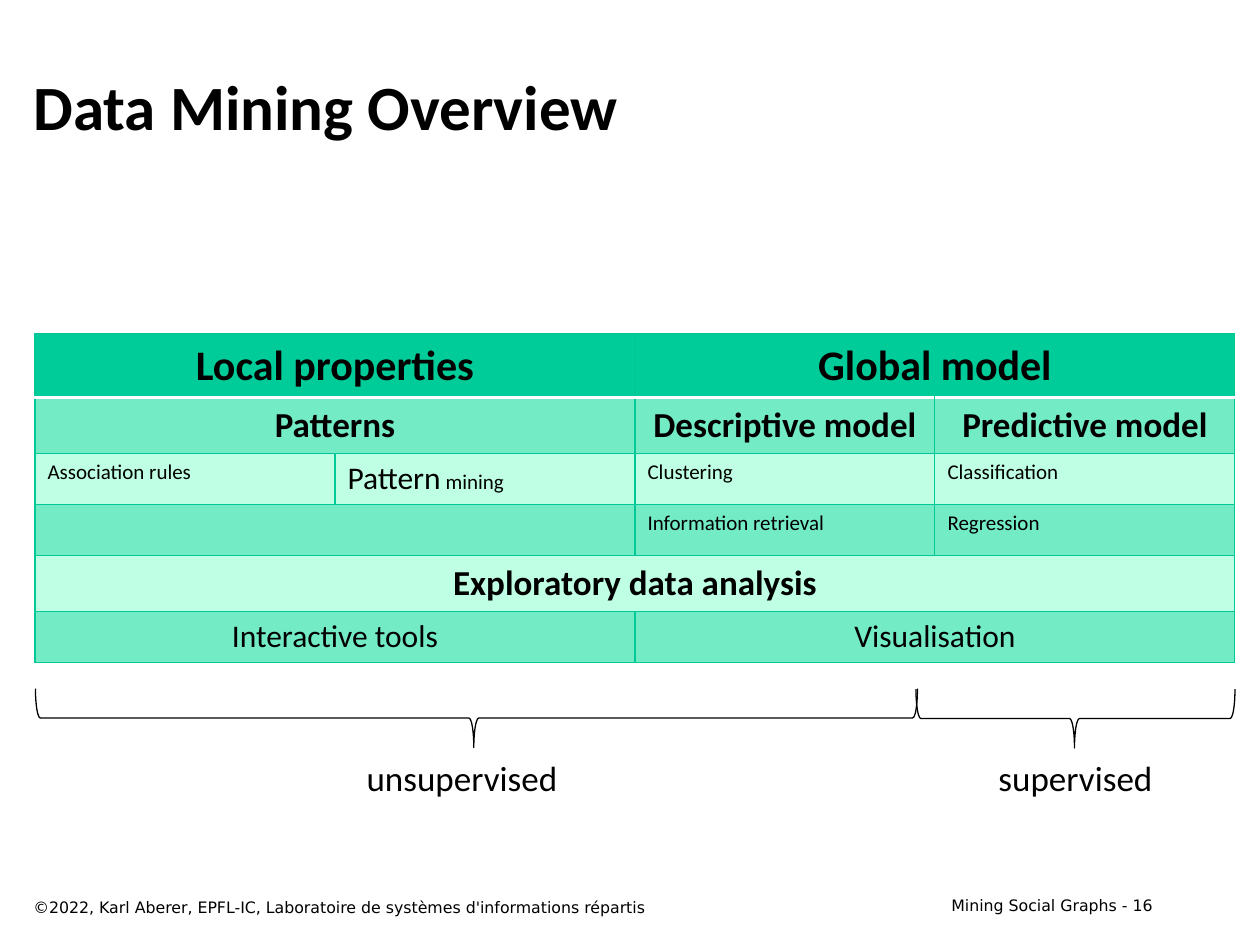
from dataclasses import dataclass

from lxml.etree import SubElement
from pptx import Presentation
from pptx.dml.color import RGBColor
from pptx.enum.shapes import MSO_SHAPE
from pptx.enum.text import MSO_ANCHOR as ANCHOR, MSO_AUTO_SIZE as AUTO, PP_ALIGN as ALIGN
from pptx.oxml.ns import qn
from pptx.util import Emu, Pt

EMU_PER_PX = 914400 / 126


def px(n: int) -> Emu:
    return Emu(round(n * EMU_PER_PX))


@dataclass(frozen=True)
class Theme:
    ink: str = "000000"
    header: str = "00CC99"
    band: str = "73EBC5"
    pale: str = "BFFFE3"
    border: str = "00C896"
    rule: str = "FFFFFF"
    body_font: str = "Calibri"
    footer_font: str = "DejaVu Sans"
    title: int = 36
    heading: int = 24
    subheading: int = 20
    label: int = 18
    detail: int = 12
    footer: int = 9
    thin: float = 0.75
    thick: float = 2


T = Theme()


@dataclass(frozen=True)
class Run:
    text: str
    size: int
    bold: bool = False
    font: str = T.body_font


@dataclass(frozen=True)
class Label:
    x: int
    y: int
    w: int
    h: int
    run: Run
    align: ALIGN = ALIGN.LEFT
    anchor: ANCHOR = ANCHOR.TOP
    wrap: bool = True


@dataclass(frozen=True)
class Cell:
    row: int
    col: int
    span: int
    runs: tuple[Run, ...] = ()
    align: ALIGN = ALIGN.CENTER


@dataclass(frozen=True)
class Brace:
    x: int
    y: int
    w: int
    h: int


def heading(row: int, col: int, span: int, text: str, size: int = T.subheading) -> Cell:
    return Cell(row, col, span, (Run(text, size, True),))


def detail(row: int, col: int, text: str) -> Cell:
    return Cell(row, col, 1, (Run(text, T.detail),), ALIGN.LEFT)


LABELS = [
    Label(903, 890, 262, 31, Run("Mining Social Graphs - 16", T.footer, font=T.footer_font),
          ALIGN.RIGHT),
    Label(21, 42, 1144, 126, Run("Data Mining Overview", T.title, True), anchor=ANCHOR.MIDDLE),
    Label(21, 892, 809, 31,
          Run("©2022, Karl Aberer, EPFL-IC, Laboratoire de systèmes d'informations répartis",
              T.footer, font=T.footer_font)),
    Label(353, 750, 218, 55, Run("unsupervised", T.subheading), ALIGN.CENTER, wrap=False),
    Label(985, 750, 181, 55, Run("supervised", T.subheading), ALIGN.CENTER, wrap=False),
]

# Frames before the quarter turn
BRACES = [Brace(447, 277, 59, 882), Brace(1046, 559, 59, 319)]

ROW_FILLS = [T.header, T.band, T.pale, T.band, T.pale, T.band]
COLUMNS, COL_W, ROW_H = 4, 300, 51
CELLS = [
    heading(0, 0, 2, "Local properties", T.heading),
    heading(0, 2, 2, "Global model", T.heading),
    heading(1, 0, 2, "Patterns"),
    heading(1, 2, 1, "Descriptive model"),
    heading(1, 3, 1, "Predictive model"),
    detail(2, 0, "Association rules"),
    Cell(2, 1, 1, (Run("Pattern", T.label), Run(" mining", T.detail)), ALIGN.LEFT),
    detail(2, 2, "Clustering"),
    detail(2, 3, "Classification"),
    Cell(3, 0, 2),
    detail(3, 2, "Information retrieval"),
    detail(3, 3, "Regression"),
    heading(4, 0, 4, "Exploratory data analysis"),
    Cell(5, 0, 2, (Run("Interactive tools", T.label),)),
    Cell(5, 2, 2, (Run("Visualisation", T.label),)),
]


def add_run(p, run: Run) -> None:
    r = p.add_run()
    r.text = run.text
    r.font.name = run.font
    r.font.size = Pt(run.size)
    r.font.bold = run.bold
    r.font.color.rgb = RGBColor.from_string(T.ink)


def add_label(slide, label: Label) -> None:
    s = slide.shapes.add_textbox(px(label.x), px(label.y), px(label.w), px(label.h))
    tf = s.text_frame
    tf.word_wrap = label.wrap
    tf.auto_size = AUTO.NONE if label.wrap else AUTO.SHAPE_TO_FIT_TEXT
    tf.vertical_anchor = label.anchor
    p = tf.paragraphs[0]
    p.alignment = label.align
    add_run(p, label.run)


def add_brace(slide, brace: Brace) -> None:
    s = slide.shapes.add_shape(MSO_SHAPE.LEFT_BRACE, px(brace.x), px(brace.y),
                               px(brace.w), px(brace.h))
    s.rotation = 270
    s.adjustments[0], s.adjustments[1] = 0.083, 0.497
    s.shadow.inherit = False
    s.fill.background()
    s.line.color.rgb = RGBColor.from_string(T.ink)
    s.line.width = Pt(T.thin)


def set_borders(cell, row: int) -> None:
    """Draw thin borders, with a thick white rule under the header row."""
    white_side = {0: "lnB", 1: "lnT"}.get(row)
    tc_pr = cell._tc.get_or_add_tcPr()
    for side in ("lnL", "lnR", "lnT", "lnB"):
        color, width = (T.rule, T.thick) if side == white_side else (T.border, T.thin)
        ln = SubElement(tc_pr, qn(f"a:{side}"), w=str(Pt(width)))
        SubElement(SubElement(ln, qn("a:solidFill")), qn("a:srgbClr"), val=color)


def add_overview(slide, x: int, y: int) -> None:
    rows = len(ROW_FILLS)
    table = slide.shapes.add_table(rows, COLUMNS, px(x), px(y),
                                   px(COLUMNS * COL_W), px(rows * ROW_H)).table
    table.horz_banding = False
    for column in table.columns:
        column.width = px(COL_W)
    for i, fill in enumerate(ROW_FILLS):
        table.rows[i].height = px(ROW_H)
        for cell in table.rows[i].cells:
            set_borders(cell, i)
            cell.fill.solid()
            cell.fill.fore_color.rgb = RGBColor.from_string(fill)
    for item in CELLS:
        cell = table.cell(item.row, item.col)
        if item.span > 1:
            cell.merge(table.cell(item.row, item.col + item.span - 1))
        p = cell.text_frame.paragraphs[0]
        p.alignment = item.align
        for run in item.runs:
            add_run(p, run)


def main() -> None:
    prs = Presentation()
    prs.slide_width, prs.slide_height = px(1260), px(945)
    slide = prs.slides.add_slide(prs.slide_layouts[6])

    # Table of mining tasks
    add_overview(slide, 35, 334)

    # Braces that group the columns
    for brace in BRACES:
        add_brace(slide, brace)

    # Title, brace captions and footer
    for label in LABELS:
        add_label(slide, label)

    prs.save("out.pptx")


if __name__ == "__main__":
    main()
